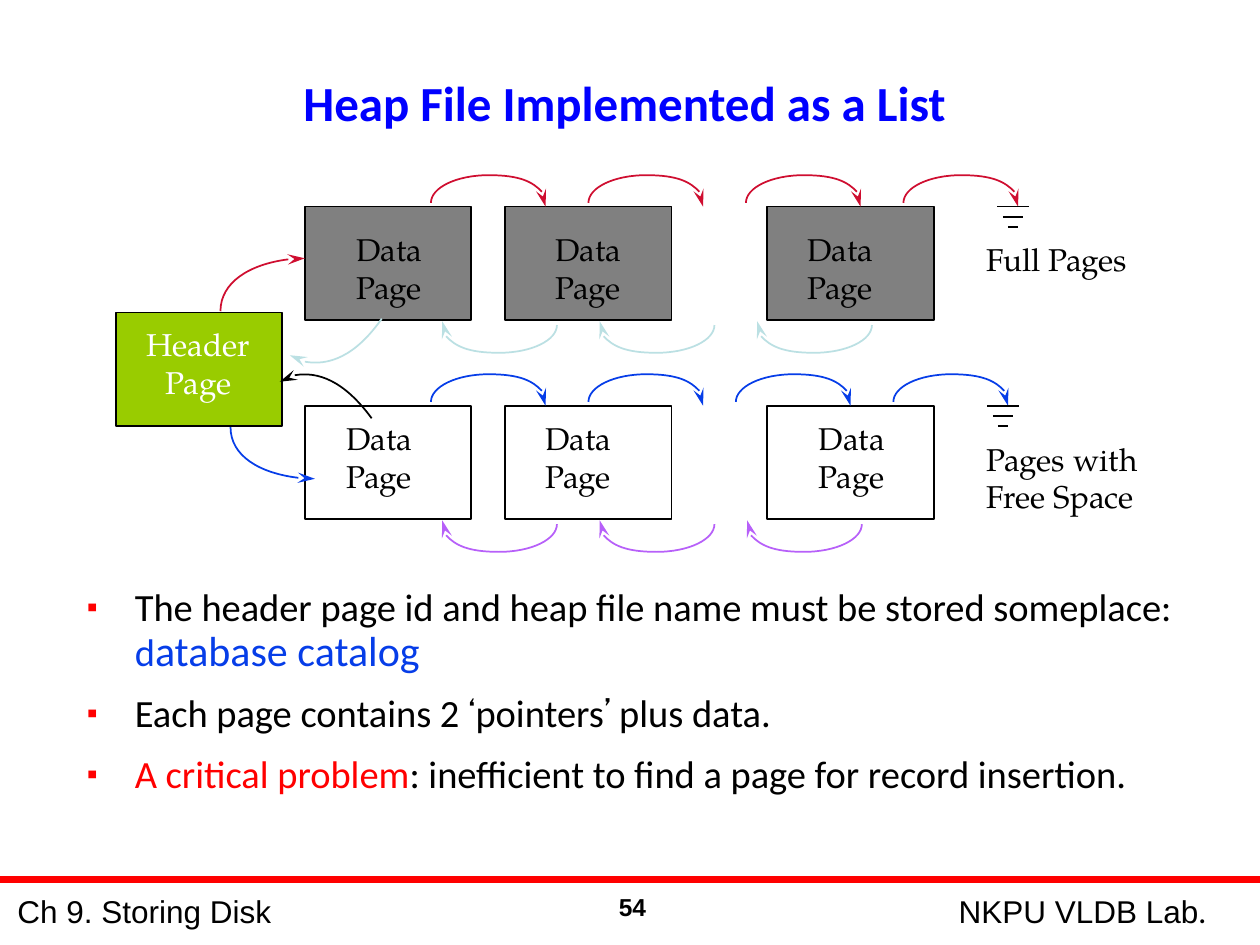
import pptx
import pptx.dml.color
import pptx.enum.shapes
import pptx.enum.text
import pptx.oxml
import pptx.oxml.ns
import pptx.util
import lxml.etree

Inches = pptx.util.Inches
Pt = pptx.util.Pt
qn = pptx.oxml.ns.qn
ALIGN = pptx.enum.text.PP_ALIGN
ANCHOR = pptx.enum.text.MSO_ANCHOR

RED, BLUE, PALE, PURPLE, BLACK = "CF0E30", "063DE8", "BBE0E3", "B760F9", "000000"
SERIF = "TeX Gyre Pagella"

# Content
TITLE = "Heap File Implemented as a List "
BULLETS = [
    [("The header page id and heap file name must be stored someplace: ", {}),
     ("d", {"color": BLUE}), ("atabase catalog", {"color": BLUE, "size": 24})],
    [("Each page contains 2 ", {}), ("‘", {"font": "Cabin"}), ("pointers", {}),
     ("’", {"font": "Cabin"}), (" plus data.", {})],
    [("A critical problem", {"color": "FF0000"}),
     (": inefficient to find a page for record insertion.", {})],
]
PAGE_LEFTS = [2.42, 4.01, 6.09]
PAGE_SIZE = (1.32, 0.9)
# Each list of pages: box top, fill, label top and lefts, arrow colours and starts, end mark
PAGE_LISTS = [
    {"top": 1.64, "fill": "808080", "label_top": 1.78, "label_lefts": [2.73, 4.31, 6.31],
     "next": (RED, [3.42, 4.67, 5.92, 7.17]), "previous": (PALE, [4.42, 5.67, 6.92]),
     "ground": 8.04, "caption": (["Full Pages"], 1.86, 1.34)},
    {"top": 3.22, "fill": None, "label_top": 3.28, "label_lefts": [2.65, 4.23, 6.4],
     "next": (BLUE, [3.42, 4.67, 5.84, 7.09]), "previous": (PURPLE, [4.42, 5.67, 6.84]),
     "ground": 7.96, "caption": (["Pages with", "Free Space"], 3.44, 1.41)},
]
# Curves between the header page and the first data pages
HEADER_CURVES = [
    (RED, [(1.75, 2.47), (1.75, 2.24), (2.05, 2.05), (2.42, 2.05)]),
    (PALE, [(3.03, 2.53), (2.82, 2.83), (2.49, 2.96), (2.3, 2.82)]),
    (BLACK, [(2.95, 3.32), (2.73, 3.02), (2.4, 2.89), (2.22, 3.03)]),
    (BLUE, [(1.83, 3.39), (1.83, 3.62), (2.13, 3.8), (2.5, 3.8)]),
]
# Half ellipse with a short hook, as offsets from its start
ARC = [(0, 0), (0, -0.12), (0.2, -0.22), (0.46, -0.22), (0.71, -0.22), (0.92, -0.12),
       (0.92, 0), (0.92, 0.01), (0.91, 0.02), (0.91, 0.03)]

presentation = pptx.Presentation()
presentation.slide_width, presentation.slide_height = Inches(10), Inches(7.5)
slide = presentation.slides.add_slide(presentation.slide_layouts[1])


def rgb(color):
    return pptx.dml.color.RGBColor.from_string(color)


def set_text(shape, paragraphs, font="Calibri", size=18, color=BLACK, bold=False,
             align=ALIGN.LEFT, anchor=ANCHOR.TOP, wrap=False):
    """Fill a shape with paragraphs, each a string or a list of (text, format) runs."""
    frame = shape.text_frame
    frame.word_wrap, frame.vertical_anchor = wrap, anchor
    frame.auto_size = pptx.enum.text.MSO_AUTO_SIZE.NONE
    for index, runs in enumerate(paragraphs):
        paragraph = frame.add_paragraph() if index else frame.paragraphs[0]
        paragraph.alignment = align
        for text, changes in [(runs, {})] if isinstance(runs, str) else runs:
            run = paragraph.add_run()
            run.text = text
            run.font.name = changes.get("font", font)
            run.font.size = Pt(changes.get("size", size))
            run.font.bold = bold
            run.font.color.rgb = rgb(changes.get("color", color))


def place(shape, left, top, width, height):
    shape.left, shape.top = Inches(left), Inches(top)
    shape.width, shape.height = Inches(width), Inches(height)


def add_label(paragraphs, left, top, width, height, **format_options):
    box = slide.shapes.add_textbox(Inches(left), Inches(top), Inches(width), Inches(height))
    set_text(box, paragraphs, **format_options)


def add_box(left, top, fill):
    box = slide.shapes.add_shape(pptx.enum.shapes.MSO_SHAPE.RECTANGLE, Inches(left),
                                 Inches(top), *map(Inches, PAGE_SIZE))
    box.shadow.inherit = False
    box.line.color.rgb, box.line.width = rgb(BLACK), Pt(1)
    if fill:
        box.fill.solid()
        box.fill.fore_color.rgb = rgb(fill)
    else:
        box.fill.background()


def add_line(left, right, y, color=BLACK, width=1):
    line = slide.shapes.add_connector(pptx.enum.shapes.MSO_CONNECTOR.STRAIGHT,
                                      Inches(left), Inches(y), Inches(right), Inches(y))
    line.line.color.rgb, line.line.width = rgb(color), Pt(width)
    lxml.etree.SubElement(line._element.spPr, qn("a:effectLst"))


def add_curve(points, color):
    """Draw Bezier segments (start, then three points each) ending in an arrowhead."""
    points = [(Inches(x), Inches(y)) for x, y in points]
    builder = slide.shapes.build_freeform(*points[0])
    builder.add_line_segments(points[1:], close=False)
    curve = builder.convert_to_shape()
    curve.shadow.inherit = False
    curve.fill.background()
    curve.line.color.rgb, curve.line.width = rgb(color), Pt(1)
    lxml.etree.SubElement(curve.line._get_or_add_ln(), qn("a:tailEnd"),
                          type="stealth", w="med", len="lg")
    # Turn each three straight steps into one cubic segment
    outline = next(curve._element.iter(qn("a:path")))
    steps = outline.findall(qn("a:lnTo"))
    for first in range(0, len(steps), 3):
        cubic = lxml.etree.SubElement(outline, qn("a:cubicBezTo"))
        for step in steps[first:first + 3]:
            cubic.append(step[0])
            outline.remove(step)


# Footer
add_label(["54"], 3.98, 7.03, 2.08, 0.5, font="Arial", size=14, bold=True, align=ALIGN.CENTER)
add_line(0, 10, 6.98, "FF0000", 4.5)
add_label([[("NKPU VLDB Lab", {}), (".", {"font": "Lato"})]], 7.17, 6.98, 2.84, 0.5,
          font="Arial", align=ALIGN.CENTER, anchor=ANCHOR.MIDDLE)
add_label(["Ch 9. Storing Disk"], 0.04, 6.98, 2.08, 0.5, font="Arial", anchor=ANCHOR.MIDDLE)

# Title and bullets
title, body = slide.shapes.title, slide.placeholders[1]
place(title, 0.5, 0.07, 9, 1.48)
set_text(title, [TITLE], size=28, color="0000FF", bold=True, align=ALIGN.CENTER,
         anchor=ANCHOR.MIDDLE, wrap=True)
place(body, 0.59, 4.62, 8.91, 2.28)
set_text(body, BULLETS, size=22, wrap=True)
for paragraph in body.text_frame.paragraphs:
    paragraph.line_spacing, paragraph.space_before = 0.9, Pt(11)
    properties = paragraph._p.get_or_add_pPr()
    properties.set("marL", str(Inches(0.38)))
    properties.set("indent", str(Inches(-0.38)))
    bullet_color = lxml.etree.SubElement(properties, qn("a:buClr"))
    lxml.etree.SubElement(bullet_color, qn("a:srgbClr"), val="FF0000")
    lxml.etree.SubElement(properties, qn("a:buSzPct"), val="80000")
    lxml.etree.SubElement(properties, qn("a:buChar"), char="▪")

# Header page
add_box(0.92, 2.48, "99CC00")
add_label(["Header", "Page"], 1.06, 2.53, 1.03, 0.7, font=SERIF, color="FFFFFF",
          align=ALIGN.CENTER)

# Lists of data pages
for page_list in PAGE_LISTS:
    top = page_list["top"]
    for left, label_left in zip(PAGE_LEFTS, page_list["label_lefts"]):
        add_box(left, top, page_list["fill"])
        add_label(["Data", "Page"], label_left, page_list["label_top"], 0.74, 0.7, font=SERIF)
    for key, sign, start_y in (("next", 1, top - 0.03), ("previous", -1, top + 0.94)):
        color, starts = page_list[key]
        for start_x in starts:
            add_curve([(start_x + sign * x, start_y + sign * y) for x, y in ARC], color)
    for index, width in enumerate((0.25, 0.16, 0.08)):
        center = page_list["ground"]
        add_line(center - width / 2, center + width / 2, top + 0.08 * index)
    lines, caption_top, caption_width = page_list["caption"]
    add_label(lines, 7.73, caption_top, caption_width, 0.1 + 0.3 * len(lines), font=SERIF)

for color, points in HEADER_CURVES:
    add_curve(points, color)

presentation.save("out.pptx")
